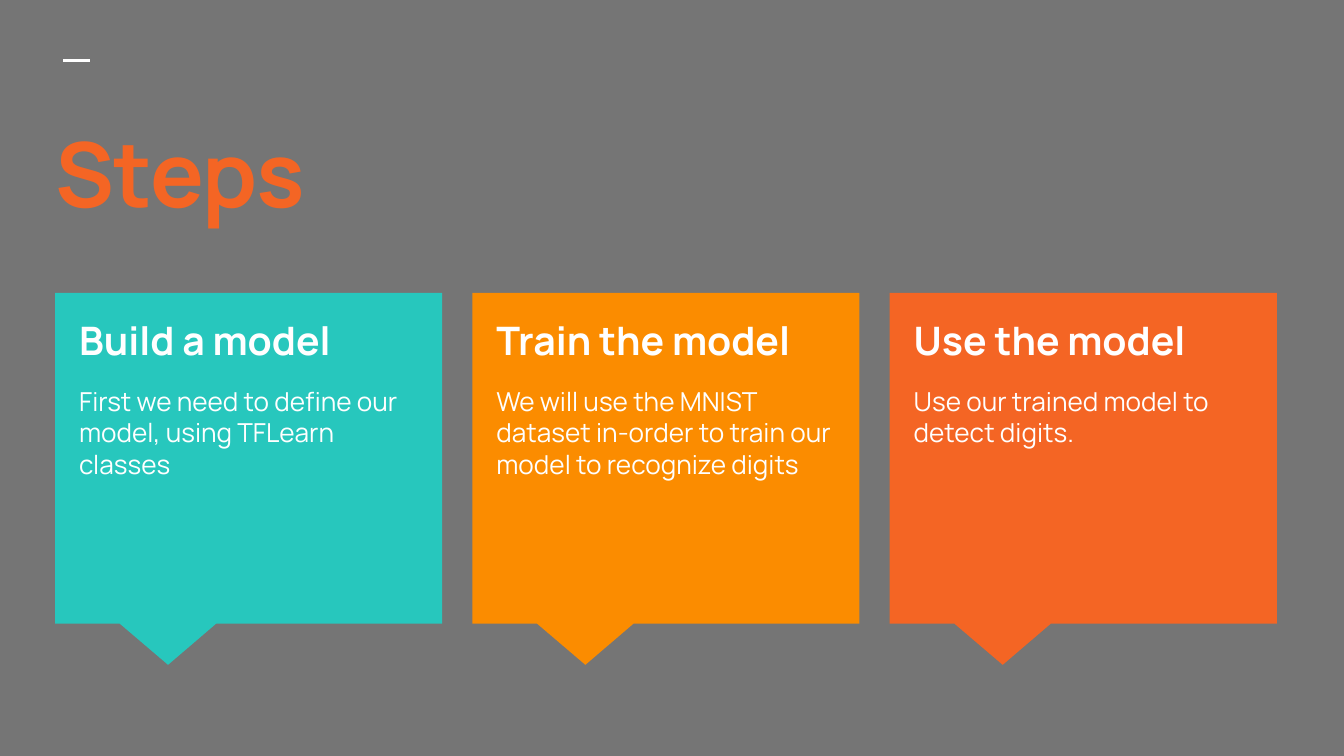
from dataclasses import dataclass

from lxml import etree
from pptx import Presentation
from pptx.dml.color import RGBColor
from pptx.enum.shapes import MSO_CONNECTOR, MSO_SHAPE
from pptx.enum.text import MSO_ANCHOR, PP_ALIGN
from pptx.oxml.ns import qn
from pptx.util import Inches, Pt

LINE, CALLOUT = MSO_CONNECTOR.STRAIGHT, MSO_SHAPE.RECTANGULAR_CALLOUT
TOP, LEFT = MSO_ANCHOR.TOP, PP_ALIGN.LEFT

GRAY = RGBColor(0x75, 0x75, 0x75)
WHITE = RGBColor(0xFF, 0xFF, 0xFF)
TEAL = RGBColor(0x27, 0xC7, 0xBD)
AMBER = RGBColor(0xFB, 0x8C, 0x00)
ORANGE = RGBColor(0xF4, 0x65, 0x24)
FONT = "Manrope"

# Card grid, in inches
CARD_LEFT, LAST_LEFT, CARD_TOP, CARD_W, CARD_H = 0.41, 6.62, 2.18, 2.88, 2.46
PAD_X, PAD_Y, TEXT_W, TEXT_H = 0.08, 0.07, 2.71, 2.19


@dataclass
class Step:
    heading: str
    detail: str
    color: RGBColor


STEPS = [
    Step("Build a model",
         "First we need to define our model, using TFLearn classes", TEAL),
    Step("Train the model",
         "We will use the MNIST dataset in-order to train our model to recognize digits", AMBER),
    Step("Use the model", "Use our trained model to detect digits.", ORANGE),
]
CARD_STEP = (LAST_LEFT - CARD_LEFT) / (len(STEPS) - 1)


def place(sp, x: float, y: float, w: float, h: float) -> None:
    box = {"left": x, "top": y, "width": w, "height": h}
    for name, value in box.items():
        setattr(sp, name, Inches(value))


def set_frame(tf) -> None:
    margins = {f"margin_{side}": Inches(0.1) for side in ("left", "top", "right", "bottom")}
    for name, value in {**margins, "word_wrap": True, "vertical_anchor": TOP}.items():
        setattr(tf, name, value)


def write(p, text: str, size: float, color: RGBColor, bold: bool, after: float = 0) -> None:
    layout = {"alignment": LEFT, "line_spacing": 1.0,
              "space_before": Pt(0), "space_after": Pt(after)}
    for name, value in layout.items():
        setattr(p, name, value)
    r = p.add_run()
    r.text = text
    for name, value in {"name": FONT, "size": Pt(size), "bold": bold}.items():
        setattr(r.font, name, value)
    r.font.color.rgb = color


def add_dash(s) -> None:
    dash = s.shapes.add_connector(LINE, Inches(0.47), Inches(0.45), Inches(0.67), Inches(0.45))
    dash.line.color.rgb = WHITE
    dash.line.width = Pt(1.5)
    etree.SubElement(dash._element.spPr, qn("a:effectLst"))


def add_card(s, column: int, step: Step) -> None:
    x = CARD_LEFT + column * CARD_STEP
    card = s.shapes.add_shape(CALLOUT, 0, 0, 0, 0)
    place(card, x, CARD_TOP, CARD_W, CARD_H)
    card.adjustments[0], card.adjustments[1] = -0.208, 0.625
    card.shadow.inherit = False
    card.fill.solid()
    card.fill.fore_color.rgb = step.color
    card.line.fill.background()

    text = s.shapes.add_textbox(0, 0, 0, 0)
    place(text, x + PAD_X, CARD_TOP + PAD_Y, TEXT_W, TEXT_H)
    tf = text.text_frame
    set_frame(tf)
    write(tf.paragraphs[0], step.heading, 21, WHITE, True, 12)
    write(tf.add_paragraph(), step.detail, 14, WHITE, False, 12)


# Slide in 16:9 and its background
prs = Presentation()
prs.slide_width = Inches(10)
prs.slide_height = prs.slide_width * 9 // 16
s = prs.slides.add_slide(prs.slide_layouts[5])
s.background.fill.solid()
s.background.fill.fore_color.rgb = GRAY

# Title with its dash
add_dash(s)
title = s.shapes.title
place(title, 0.31, 0.78, 9.43, 1.12)
set_frame(title.text_frame)
write(title.text_frame.paragraphs[0], "Steps", 48, ORANGE, True)

# One card for each step
for column, step in enumerate(STEPS):
    add_card(s, column, step)

prs.save("out.pptx")
